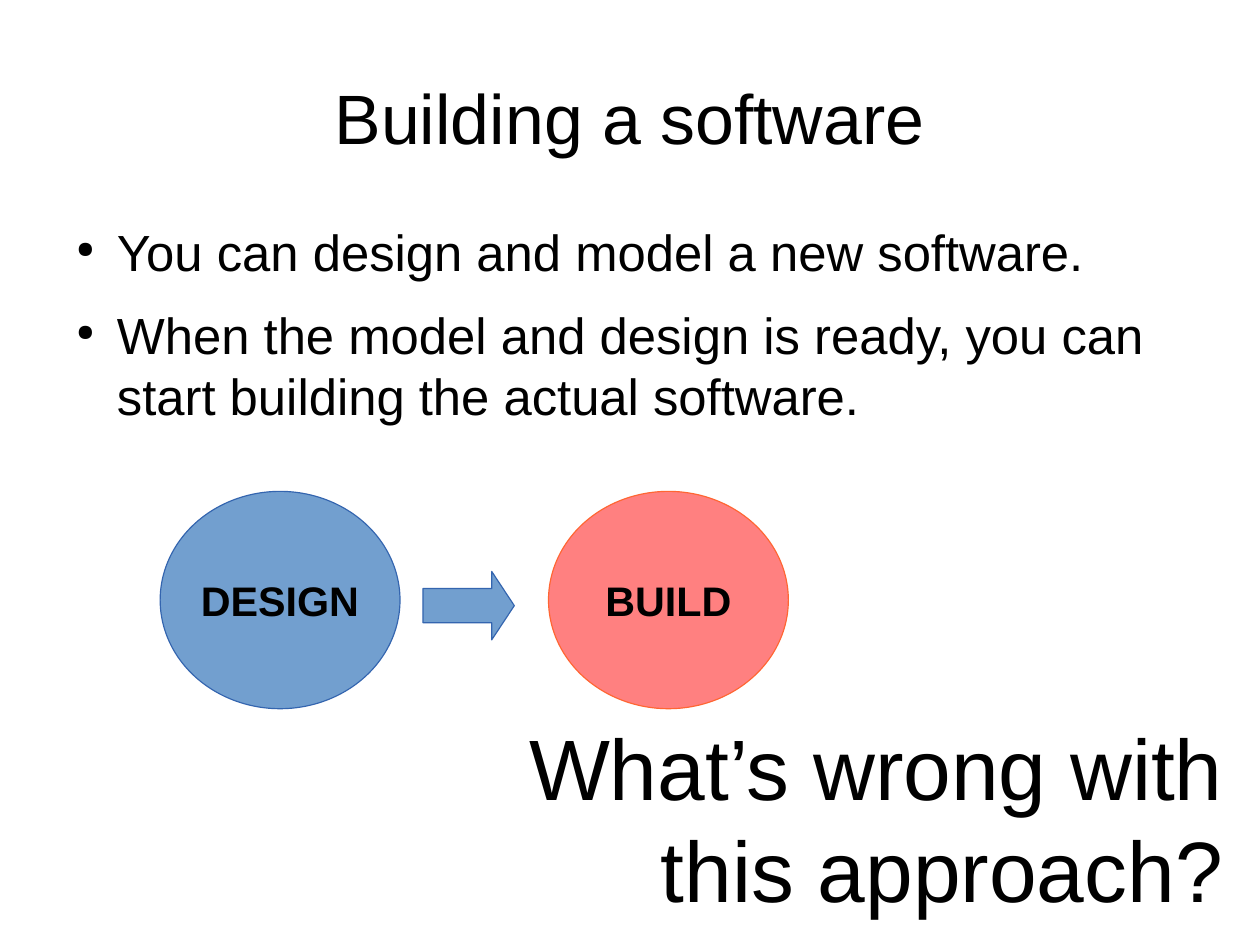
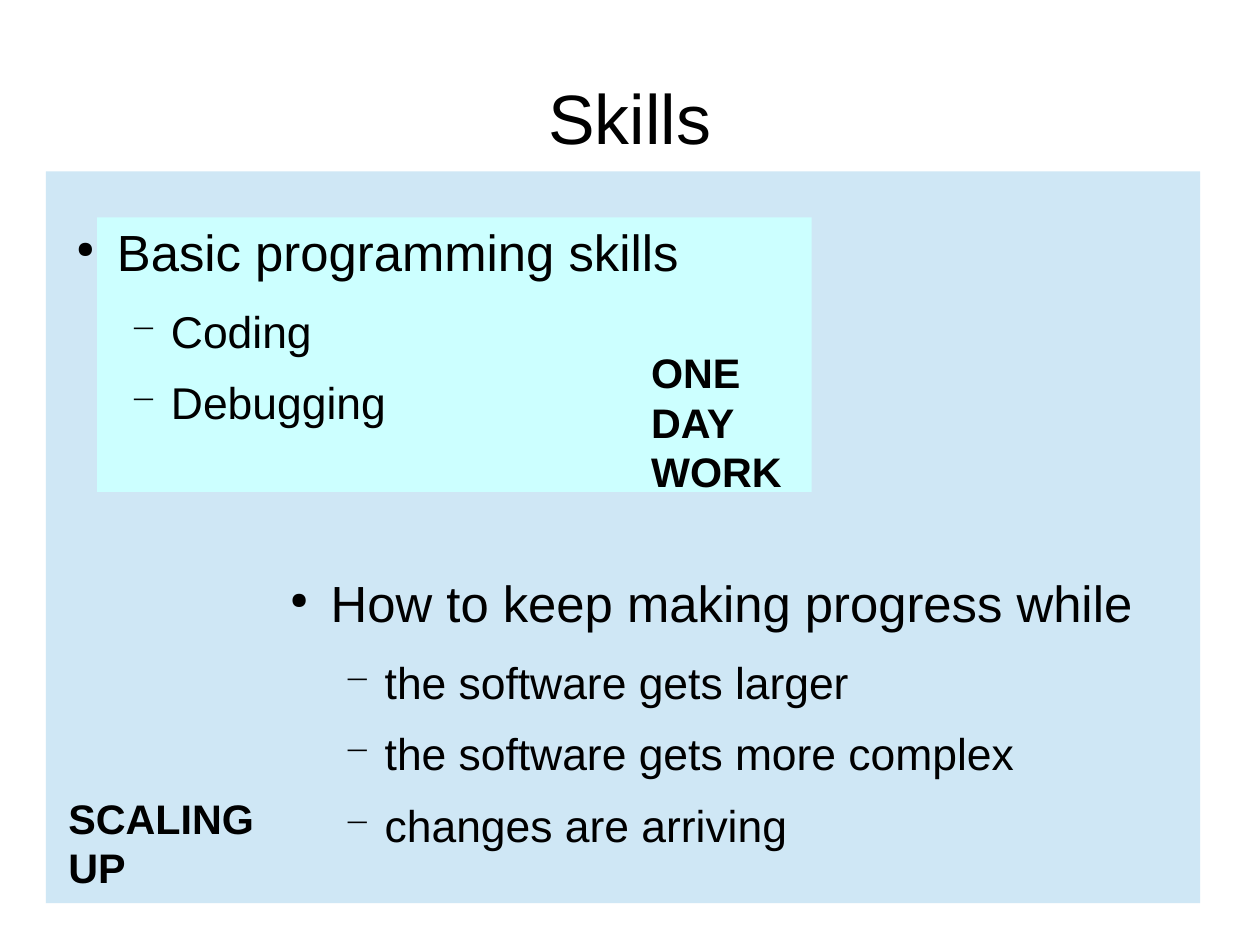
from dataclasses import dataclass

import pptx
import pptx.dml.color
import pptx.enum.shapes
import pptx.enum.text
import pptx.oxml.ns
import pptx.shapes.autoshape
import pptx.slide
import pptx.text.text
import pptx.util
from lxml import etree

Cm = pptx.util.Cm
Pt = pptx.util.Pt
Align = pptx.enum.text.PP_ALIGN
Anchor = pptx.enum.text.MSO_ANCHOR
Preset = pptx.enum.shapes.MSO_SHAPE

FONT = "Arial"
COLORS = {
    "text": "000000",
    "design": "729FCF",
    "design_line": "3465AF",
    "build": "FF8080",
    "build_line": "FF6633",
    "scaling": "CFE7F5",
    "one_day": "CCFFFF",
}


@dataclass(frozen=True)
class Area:
    left: float
    top: float
    width: float
    height: float

    def lengths(self) -> tuple[pptx.util.Length, ...]:
        return Cm(self.left), Cm(self.top), Cm(self.width), Cm(self.height)


@dataclass(frozen=True)
class Level:
    size: float
    indent: float
    space_after: float
    bullet: str
    bullet_percent: int


@dataclass(frozen=True)
class Figure:
    preset: Preset
    area: Area
    fill: str
    line: str | None = None
    label: str = ""


TITLE_AREA = Area(1.4, 0.84, 25.2, 3.5)
BODY_AREA = Area(1.4, 4.9, 25.2, 13.39)
HANGING = 0.9
LEVELS = (
    Level(32, 1.2, 14.2, "●", 45),
    Level(28, 2.4, 11.3, "−", 75),
)
LABEL_SIZE = 26

PROCESS_FIGURES = (
    Figure(Preset.OVAL, Area(3.56, 10.92, 5.33, 4.83), "design", "design_line", "DESIGN"),
    Figure(Preset.OVAL, Area(12.19, 10.92, 5.33, 4.83), "build", "build_line", "BUILD"),
    Figure(Preset.RIGHT_ARROW, Area(9.4, 12.7, 2.03, 1.52), "design", "design_line"),
)
SKILL_PANELS = (
    Figure(Preset.RECTANGLE, Area(1.02, 3.81, 25.65, 16.26), "scaling"),
    Figure(Preset.RECTANGLE, Area(2.16, 4.83, 15.88, 6.1), "one_day"),
)


def rgb(name: str) -> pptx.dml.color.RGBColor:
    return pptx.dml.color.RGBColor.from_string(COLORS[name])


def write_paragraph(
    paragraph: pptx.text.text._Paragraph,
    text: str,
    *,
    size: float,
    bold: bool = False,
    align: Align = Align.LEFT,
) -> None:
    paragraph.alignment = align
    run = paragraph.add_run()
    run.text = text
    run.font.name = FONT
    run.font.size = Pt(size)
    run.font.bold = bold
    run.font.color.rgb = rgb("text")


def add_bullet(paragraph: pptx.text.text._Paragraph, level: Level) -> None:
    properties = paragraph._p.get_or_add_pPr()
    properties.set("marL", str(Cm(level.indent)))
    properties.set("indent", str(-Cm(HANGING)))
    color = etree.SubElement(properties, pptx.oxml.ns.qn("a:buClr"))
    etree.SubElement(color, pptx.oxml.ns.qn("a:srgbClr"), val=COLORS["text"])
    percent = str(level.bullet_percent * 1000)
    etree.SubElement(properties, pptx.oxml.ns.qn("a:buSzPct"), val=percent)
    etree.SubElement(properties, pptx.oxml.ns.qn("a:buChar"), char=level.bullet)
    paragraph.space_after = Pt(level.space_after)


def add_text_frame(
    slide: pptx.slide.Slide,
    area: Area,
    *,
    inset: bool = True,
    wrap: bool = True,
    anchor: Anchor = Anchor.TOP,
) -> pptx.text.text.TextFrame:
    frame = slide.shapes.add_textbox(*area.lengths()).text_frame
    frame.word_wrap = wrap
    frame.vertical_anchor = anchor
    if not inset:
        frame.margin_left = frame.margin_right = 0
        frame.margin_top = frame.margin_bottom = 0
    return frame


def next_paragraph(
    frame: pptx.text.text.TextFrame, index: int
) -> pptx.text.text._Paragraph:
    return frame.add_paragraph() if index else frame.paragraphs[0]


def add_title(slide: pptx.slide.Slide, text: str) -> None:
    frame = add_text_frame(slide, TITLE_AREA, inset=False, anchor=Anchor.MIDDLE)
    write_paragraph(frame.paragraphs[0], text, size=44, align=Align.CENTER)


def add_body(
    slide: pptx.slide.Slide, area: Area, items: tuple[tuple[int, str], ...]
) -> None:
    frame = add_text_frame(slide, area, inset=False)
    for index, (depth, text) in enumerate(items):
        paragraph = next_paragraph(frame, index)
        paragraph.level = depth
        add_bullet(paragraph, LEVELS[depth])
        write_paragraph(paragraph, text, size=LEVELS[depth].size)


def add_label(slide: pptx.slide.Slide, area: Area, lines: tuple[str, ...]) -> None:
    frame = add_text_frame(slide, area, wrap=False)
    for index, line in enumerate(lines):
        write_paragraph(next_paragraph(frame, index), line, size=LABEL_SIZE, bold=True)


def add_figure(
    slide: pptx.slide.Slide, figure: Figure
) -> pptx.shapes.autoshape.Shape:
    shape = slide.shapes.add_shape(figure.preset, *figure.area.lengths())
    shape.shadow.inherit = False
    shape.fill.solid()
    shape.fill.fore_color.rgb = rgb(figure.fill)
    if figure.line:
        shape.line.color.rgb = rgb(figure.line)
        shape.line.width = Pt(0)
    else:
        shape.line.fill.background()
    if figure.preset == Preset.RIGHT_ARROW:
        shape.adjustments[1] = 0.33
    if figure.label:
        frame = shape.text_frame
        frame.word_wrap = False
        frame.vertical_anchor = Anchor.MIDDLE
        write_paragraph(
            frame.paragraphs[0],
            figure.label,
            size=LABEL_SIZE,
            bold=True,
            align=Align.CENTER,
        )
    return shape


def build_process_slide(slide: pptx.slide.Slide) -> None:
    add_title(slide, "Building a software")
    add_body(
        slide,
        BODY_AREA,
        (
            (0, "You can design and model a new software."),
            (
                0,
                "When the model and design is ready, "
                "you can start building the actual software.",
            ),
        ),
    )
    for figure in PROCESS_FIGURES:
        add_figure(slide, figure)
    question = add_text_frame(slide, Area(11.43, 15.75, 16, 4.52))
    write_paragraph(
        question.paragraphs[0],
        "What’s wrong with this approach?",
        size=54,
        align=Align.RIGHT,
    )


def build_skills_slide(slide: pptx.slide.Slide) -> None:
    for panel in SKILL_PANELS:
        add_figure(slide, panel)
    add_title(slide, "Skills")
    add_body(
        slide,
        BODY_AREA,
        ((0, "Basic programming skills"), (1, "Coding"), (1, "Debugging")),
    )
    add_body(
        slide,
        Area(6.15, 12.7, 21.29, 5.84),
        (
            (0, "How to keep making progress while"),
            (1, "the software gets larger"),
            (1, "the software gets more complex"),
            (1, "changes are arriving"),
        ),
    )
    add_label(slide, Area(14.22, 7.6, 3.43, 3.33), ("ONE", "DAY", "WORK"))
    add_label(slide, Area(1.27, 17.5, 4.65, 2.31), ("SCALING", "UP"))


def main() -> None:
    presentation = pptx.Presentation()
    presentation.slide_width = Cm(28)
    presentation.slide_height = Cm(21)
    blank = presentation.slide_layouts[6]
    for build in (build_process_slide, build_skills_slide):
        build(presentation.slides.add_slide(blank))
    presentation.save("out.pptx")


if __name__ == "__main__":
    main()
